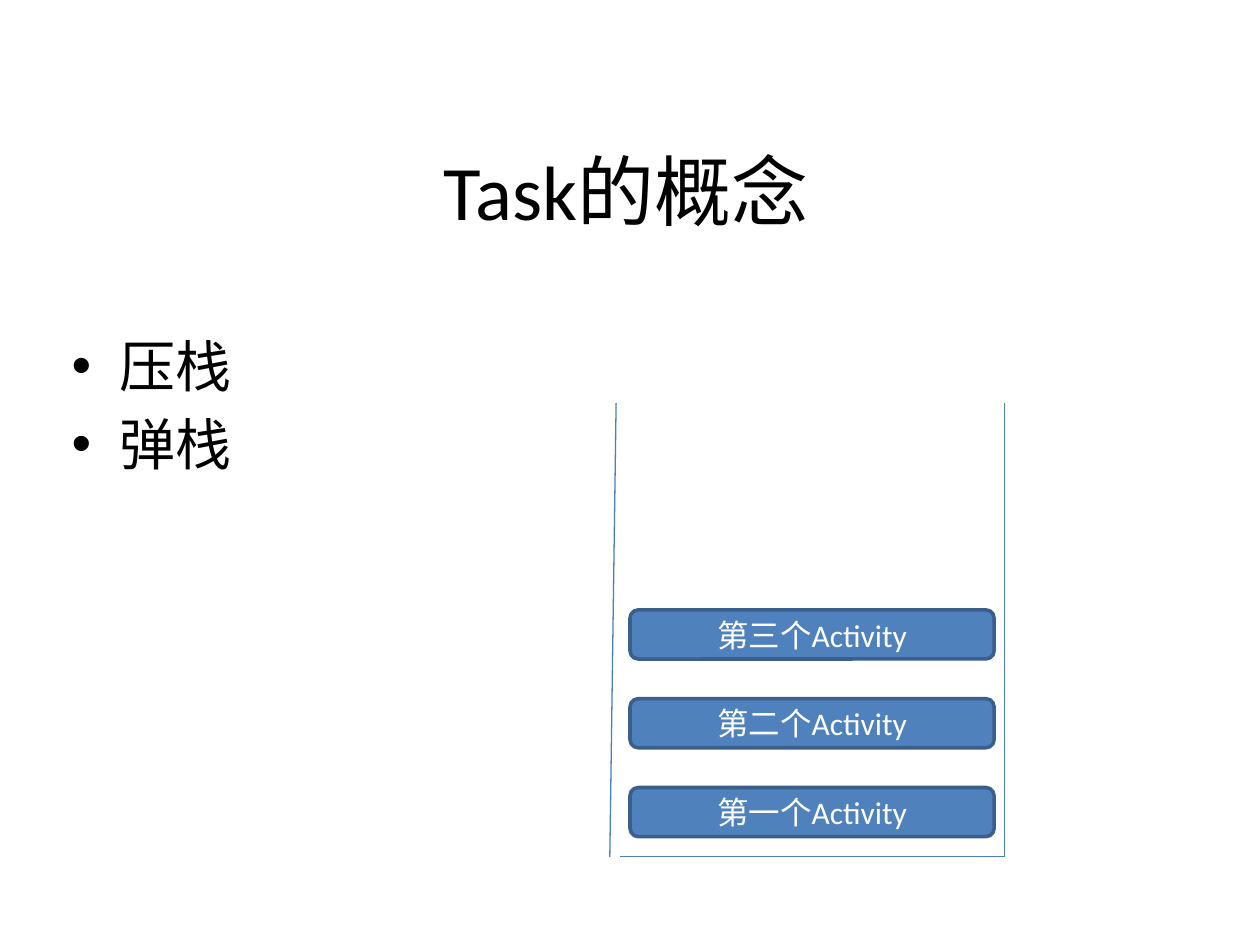
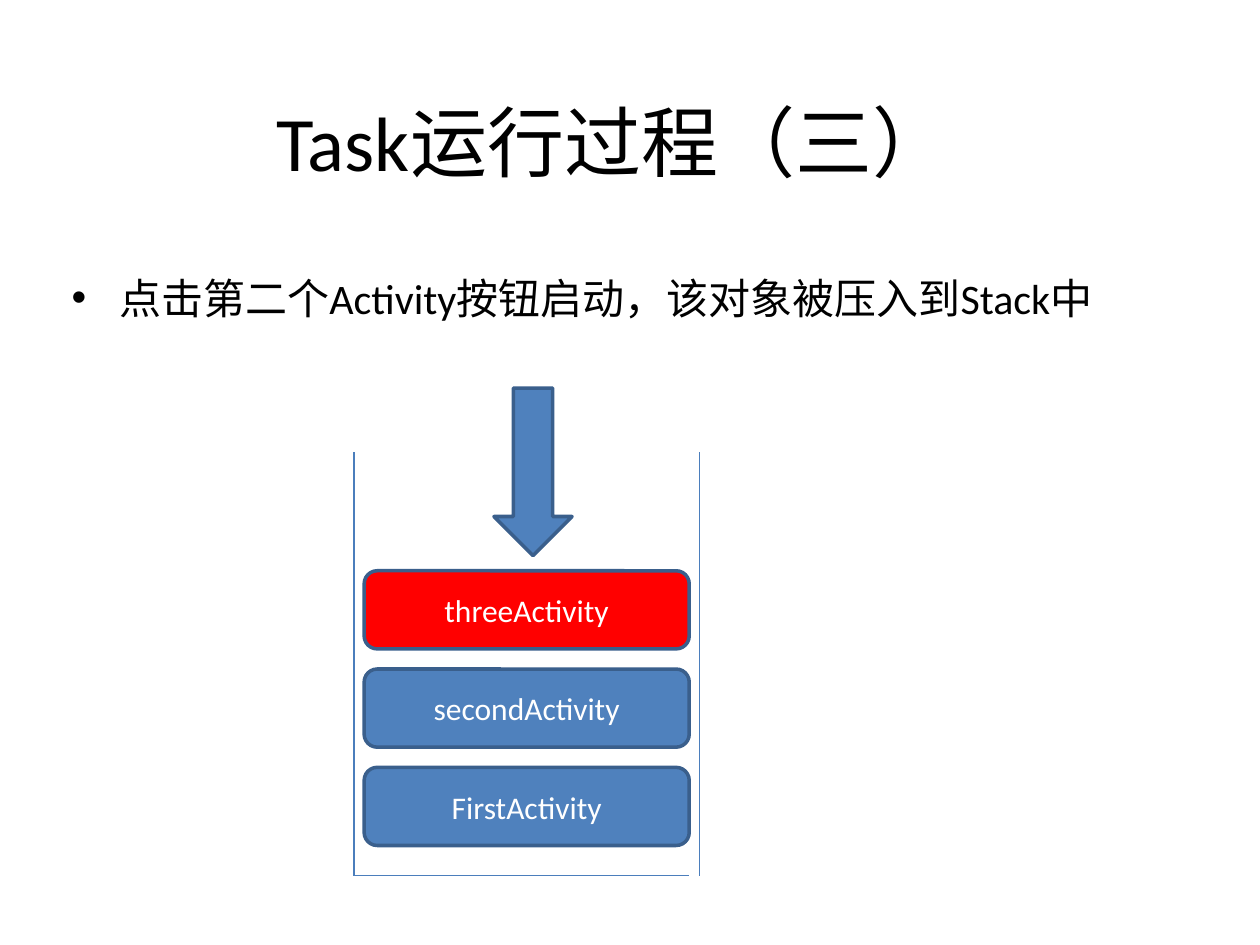
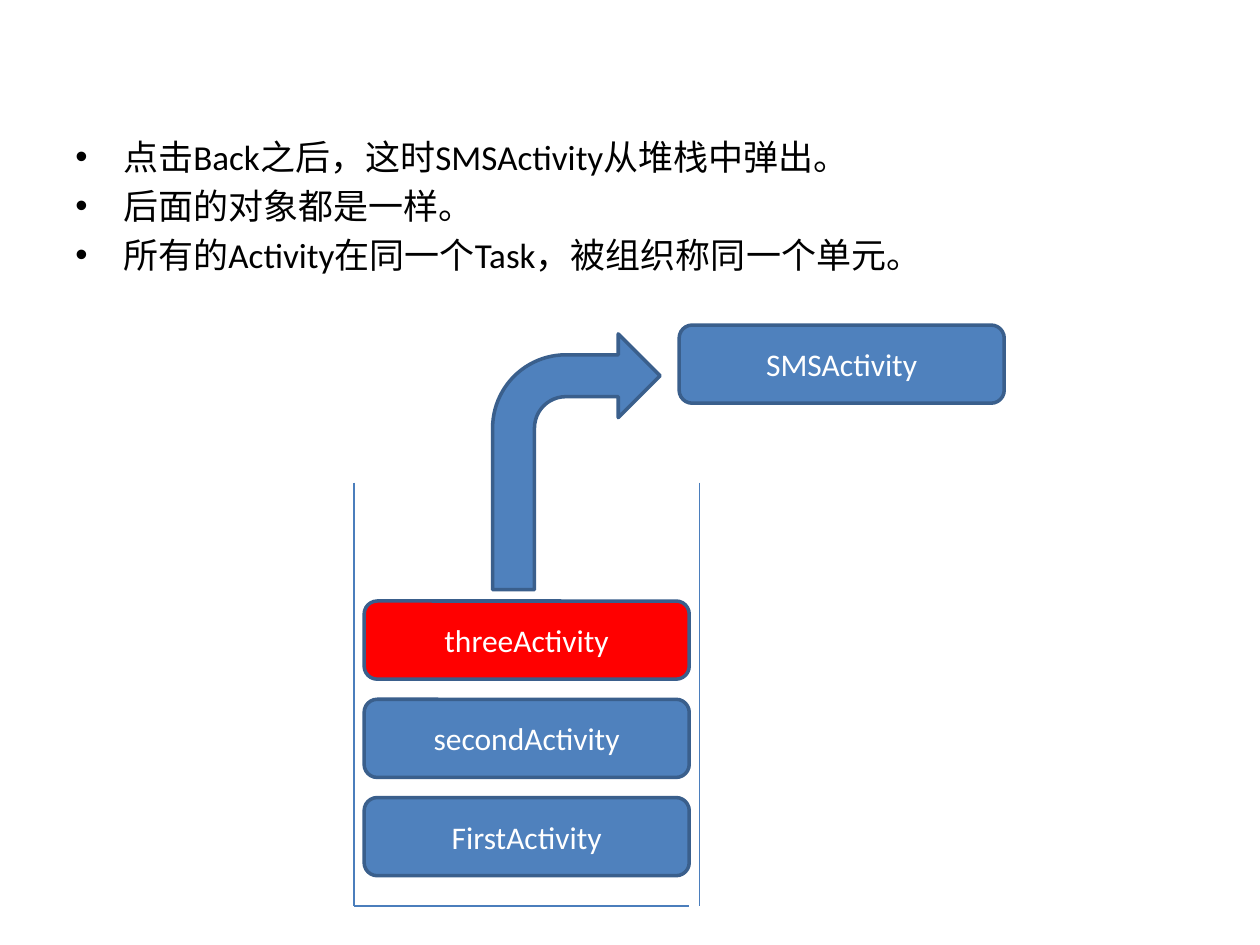
from lxml import etree
from pptx import Presentation
from pptx.dml.color import RGBColor
from pptx.enum.shapes import MSO_CONNECTOR, MSO_SHAPE
from pptx.enum.text import MSO_ANCHOR, PP_ALIGN
from pptx.oxml.ns import qn
from pptx.util import Inches, Pt

LINE = MSO_CONNECTOR.STRAIGHT
ROUND = MSO_SHAPE.ROUNDED_RECTANGLE
DOWN = MSO_SHAPE.DOWN_ARROW
BENT = MSO_SHAPE.BENT_ARROW
TOP, MIDDLE = MSO_ANCHOR.TOP, MSO_ANCHOR.MIDDLE
CENTER, LEFT = PP_ALIGN.CENTER, PP_ALIGN.LEFT

HUES = {"text": "000000", "label": "FFFFFF", "blue": "4F81BD",
        "edge": "3A5F8C", "wall": "4B7EBC", "red": "FF0000"}
INK = {name: RGBColor.from_string(code) for name, code in HUES.items()}


def write(frame, lines, size, ink, align, anchor, bullet=False):
    for key, value in {"word_wrap": True, "vertical_anchor": anchor}.items():
        setattr(frame, key, value)
    for i, line in enumerate(lines):
        para = frame.add_paragraph() if i else frame.paragraphs[0]
        para.alignment = align
        run = para.add_run()
        run.text = line
        for key, value in {"name": "Calibri", "size": Pt(size)}.items():
            setattr(run.font, key, value)
        run.font.color.rgb = INK[ink]
        if bullet:
            para.space_before = Pt(size * 0.2)
            props = para._p.get_or_add_pPr()
            props.set("marL", str(Inches(0.38)))
            props.set("indent", str(Inches(-0.38)))
            etree.SubElement(props, qn("a:buFont")).set("typeface", "Arial")
            etree.SubElement(props, qn("a:buChar")).set("char", "•")


def draw(slide, kind, area, fill="blue", label=None):
    shape = slide.shapes.add_shape(kind, *map(Inches, area))
    shape.shadow.inherit = False
    shape.fill.solid()
    shape.fill.fore_color.rgb = INK[fill]
    shape.line.color.rgb = INK["edge"]
    shape.line.width = Pt(2)
    if label:
        write(shape.text_frame, [label], 18, "label", CENTER, MIDDLE)


calls = [("threeActivity", "red"), ("secondActivity", "blue"), ("FirstActivity", "blue")]
tall = {"left": 2.89, "width": 2.58, "height": 0.62, "drop": 0.94, "step": 0.78}


def_walls = lambda top: [(2.81, top, 2.81, top + 3.36),
                         (2.81, top + 3.36, 5.47, top + 3.36),
                         (5.55, top, 5.55, top + 3.36)]

pages = [
    {"title": "Task的概念", "head": (0.47, 1.09, 9, 1.25),
     "body": (0.47, 2.58, 9, 5.53), "size": 32, "lines": ["压栈", "弹栈"],
     "top": 3.2,
     "walls": [(4.89, 3.2, 4.84, 6.8), (4.92, 6.8, 7.97, 6.8), (7.97, 3.2, 7.97, 6.8)],
     "stack": {"left": 5, "width": 2.89, "height": 0.39, "drop": 1.64, "step": 0.705},
     "items": [(f"第{n}个Activity", "blue") for n in "三二一"],
     "extra": []},
    {"title": "Task运行过程（三）", "head": (0.39, 0.7, 8.95, 1.32),
     "body": (0.47, 2.11, 9, 5.68), "size": 24,
     "lines": ["点击第二个Activity按钮启动，该对象被压入到Stack中"],
     "top": 3.59, "walls": def_walls(3.59), "stack": tall, "items": calls,
     "extra": [(DOWN, (3.92, 3.08, 0.62, 1.33))]},
    {"title": None, "body": (0.5, 1.03, 9, 6.7), "size": 20,
     "lines": ["点击Back之后，这时SMSActivity从堆栈中弹出。",
               "后面的对象都是一样。",
               "所有的Activity在同一个Task，被组织称同一个单元。"],
     "top": 3.83, "walls": def_walls(3.83), "stack": tall, "items": calls,
     "extra": [(ROUND, (5.39, 2.58, 2.58, 0.62), "blue", "SMSActivity"),
               (BENT, (3.91, 2.65, 1.33, 2.03))]},
]

deck = Presentation()
deck.slide_width, deck.slide_height = Inches(10), Inches(7.5)

for page in pages:
    slide = deck.slides.add_slide(deck.slide_layouts[6])
    if page["title"]:
        head = slide.shapes.add_textbox(*map(Inches, page["head"]))
        write(head.text_frame, [page["title"]], 44, "text", CENTER, TOP)
    body = slide.shapes.add_textbox(*map(Inches, page["body"]))
    write(body.text_frame, page["lines"], page["size"], "text", LEFT, TOP, True)

    for ends in page["walls"]:
        wall = slide.shapes.add_connector(LINE, *map(Inches, ends))
        wall.line.color.rgb = INK["wall"]
        wall.line.width = Pt(0.75)
        etree.SubElement(wall._element.spPr, qn("a:effectLst"))

    stack = page["stack"]
    for i, (label, fill) in enumerate(page["items"]):
        y = page["top"] + stack["drop"] + i * stack["step"]
        draw(slide, ROUND, (stack["left"], y, stack["width"], stack["height"]), fill, label)
    for extra in page["extra"]:
        draw(slide, *extra)

deck.save("out.pptx")
